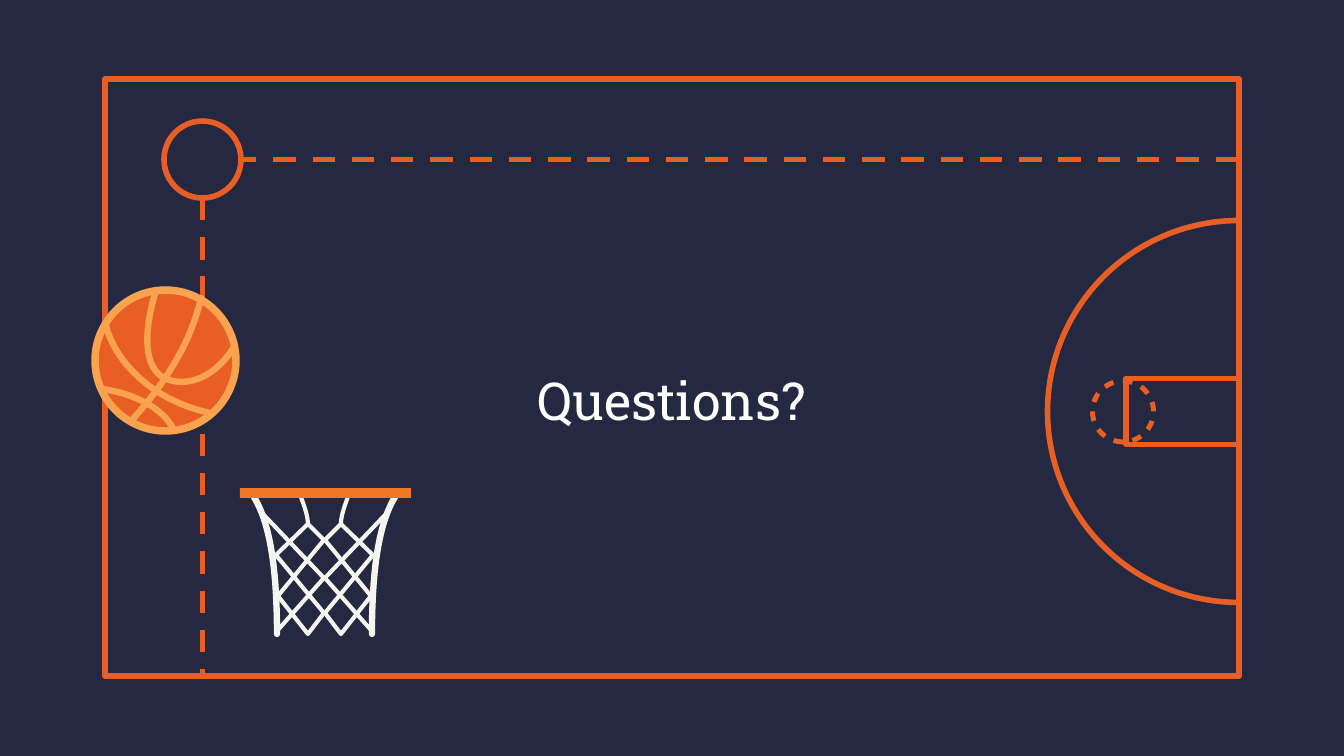
import math

import pptx
import pptx.dml.color
import pptx.enum.dml
import pptx.enum.shapes
import pptx.enum.text
import pptx.oxml.ns
import pptx.util

SCALE = 914400 / 134.4  # EMU in one px
ORANGE, NAVY, GOLD = "E95E24", "242841", "F9A350"
RIM, CORD, WHITE = "F17726", "F5F6F0", "FFFFFF"
KIND = pptx.enum.shapes.MSO_SHAPE
qn = pptx.oxml.ns.qn


def px(n):
    return pptx.util.Emu(round(n * SCALE))


def paint(part, color):
    """Give a fill or a font one solid colour."""
    part.solid()
    part.fore_color.rgb = pptx.dml.color.RGBColor.from_string(color)


def style(shape, fill=None, line=None, width=3):
    shape.shadow.inherit = False
    if fill:
        paint(shape.fill, fill)
    else:
        shape.fill.background()
    if line:
        paint(shape.line.fill, line)
        shape.line.width = pptx.util.Pt(width)
    else:
        shape.line.fill.background()
    return shape


def add(slide, kind, x, y, w, h, **look):
    shape = slide.shapes.add_shape(kind, px(x), px(y), px(w), px(h))
    return style(shape, **look)


def dash(slide, x1, y1, x2, y2):
    line = slide.shapes.add_connector(
        pptx.enum.shapes.MSO_CONNECTOR.STRAIGHT, px(x1), px(y1), px(x2), px(y2))
    paint(line.line.fill, ORANGE)
    line.line.width = pptx.util.Pt(3)
    line.line.dash_style = pptx.enum.dml.MSO_LINE.DASH
    props = line._element.spPr
    props.append(props.makeelement(qn("a:effectLst"), {}))


def free(slide, x, y, paths, close, **look):
    """Draw one outline from point lists relative to (x, y)."""
    paths = [[(px(x + a), px(y + b)) for a, b in path] for path in paths]
    pen = slide.shapes.build_freeform(*paths[0][0])
    for i, path in enumerate(paths):
        if i:
            pen.move_to(*path[0])
        pen.add_line_segments(path[1:], close=close)
    shape = style(pen.convert_to_shape(), **look)
    if not close:
        shape._element.spPr.find(qn("a:ln")).set("cap", "rnd")


def bend(*pts, steps=16):
    """Sample a chain of cubic curves."""
    out = [pts[0]]
    for i in range(0, len(pts) - 1, 3):
        for k in range(1, steps + 1):
            t = k / steps
            u = 1 - t
            mix = (u ** 3, 3 * u * u * t, 3 * u * t * t, t ** 3)
            out.append(tuple(sum(m * p[j] for m, p in zip(mix, pts[i:i + 4]))
                             for j in (0, 1)))
    return out


def court(slide, x, y, w, h):
    add(slide, KIND.RECTANGLE, x, y, w, h, line=ORANGE)


def title(slide, x, y, w, h):
    box = slide.shapes.add_textbox(px(x), px(y), px(w), px(h))
    frame = box.text_frame
    frame.word_wrap = True
    frame.vertical_anchor = pptx.enum.text.MSO_ANCHOR.MIDDLE
    para = frame.paragraphs[0]
    para.text = "Questions?"
    para.alignment = pptx.enum.text.PP_ALIGN.CENTER
    para.font.name = "Roboto Slab"
    para.font.size = pptx.util.Pt(28)
    paint(para.font.fill, WHITE)


def zone(slide, x, y, w, h):
    """Half circle, key and dashed circle; the box's right side is the baseline."""
    mid = y + h / 2

    # Dashed circle: ten arcs with equal gaps
    def arc(r, angles):
        return [(r * math.sin(math.radians(a)), -r * math.cos(math.radians(a)))
                for a in angles]

    arcs = [arc(33, range(a, a + 19, 3)) + arc(28, range(a + 18, a - 1, -3))
            for a in range(0, 360, 36)]
    free(slide, x + 75, mid, arcs, True, fill=ORANGE)
    # Half circle
    half = add(slide, KIND.PIE, x, y, 2 * w, h, line=ORANGE)
    half.rotation = 90
    half.adjustments[0], half.adjustments[1] = 0, 108
    # Key
    add(slide, KIND.RECTANGLE, x + w - 113, mid - 33, 113, 66, line=ORANGE)


def corner(slide, x, y, w, h):
    """Circle at top left with a dashed line to the right and one down."""
    size = 77
    mid = size / 2
    add(slide, KIND.OVAL, x, y, size, size, fill=NAVY, line=ORANGE)
    dash(slide, x + w, y + mid, x + size, y + mid)
    dash(slide, x + mid, y + size, x + mid, y + h)


def net(slide, x, y, w, h):
    ropes = [bend((14, 9), (28, 32), (37, 72), (37, 146))]
    cords = [
        bend((61, 9), (64, 17), (68, 28), (68, 36)),
        [(24, 27), (84, 90), (38, 142)],
        [(36, 67), (84, 125), (68, 146), (38, 108), (84, 52), (68, 36), (36, 67)],
    ]
    # The right half mirrors the left
    for paths, width in ((ropes, 3.4), (cords, 2.2)):
        for half in (paths, [[(w - 2 - a, b) for a, b in p] for p in paths]):
            free(slide, x, y, half, False, line=CORD, width=width)
    # Rim
    add(slide, KIND.RECTANGLE, x, y, w, 10, fill=RIM)


def ball(slide, x, y, w, h):
    seams = [
        bend((110, 12), (101, 52), (79, 92), (41, 134)),
        bend((65, 5), (54, 39), (49, 85), (78, 94), (104, 102), (129, 84), (143, 61)),
        bend((15, 40), (24, 74), (59, 114), (119, 127)),
        bend((12, 103), (44, 108), (71, 122), (82, 142)),
    ]
    add(slide, KIND.OVAL, x + 4, y + 4, w - 8, h - 8, fill=ORANGE)
    free(slide, x, y, seams, False, line=GOLD, width=3.4)
    add(slide, KIND.OVAL, x + 4, y + 4, w - 8, h - 8, line=GOLD, width=4)


def main():
    deck = pptx.Presentation()
    deck.slide_width, deck.slide_height = px(1344), px(756)
    slide = deck.slides.add_slide(deck.slide_layouts[6])
    paint(slide.background.fill, NAVY)
    court(slide, 105, 79, 1134, 597)
    title(slide, 355, 363, 633, 73)
    zone(slide, 1048, 220, 191, 383)
    corner(slide, 164, 121, 1074, 555)
    net(slide, 240, 488, 171, 149)
    ball(slide, 91, 286, 149, 149)
    deck.save("out.pptx")


if __name__ == "__main__":
    main()
